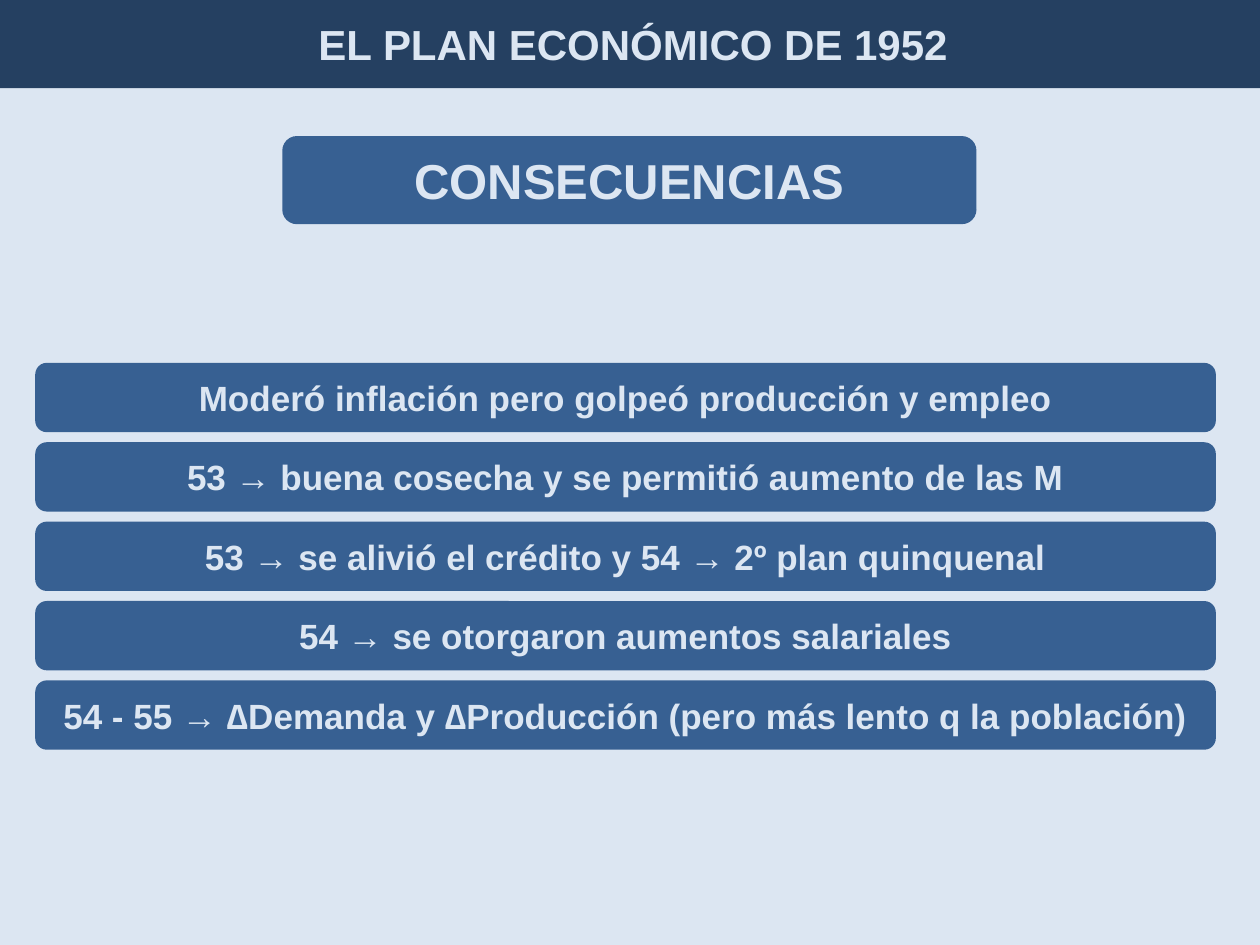
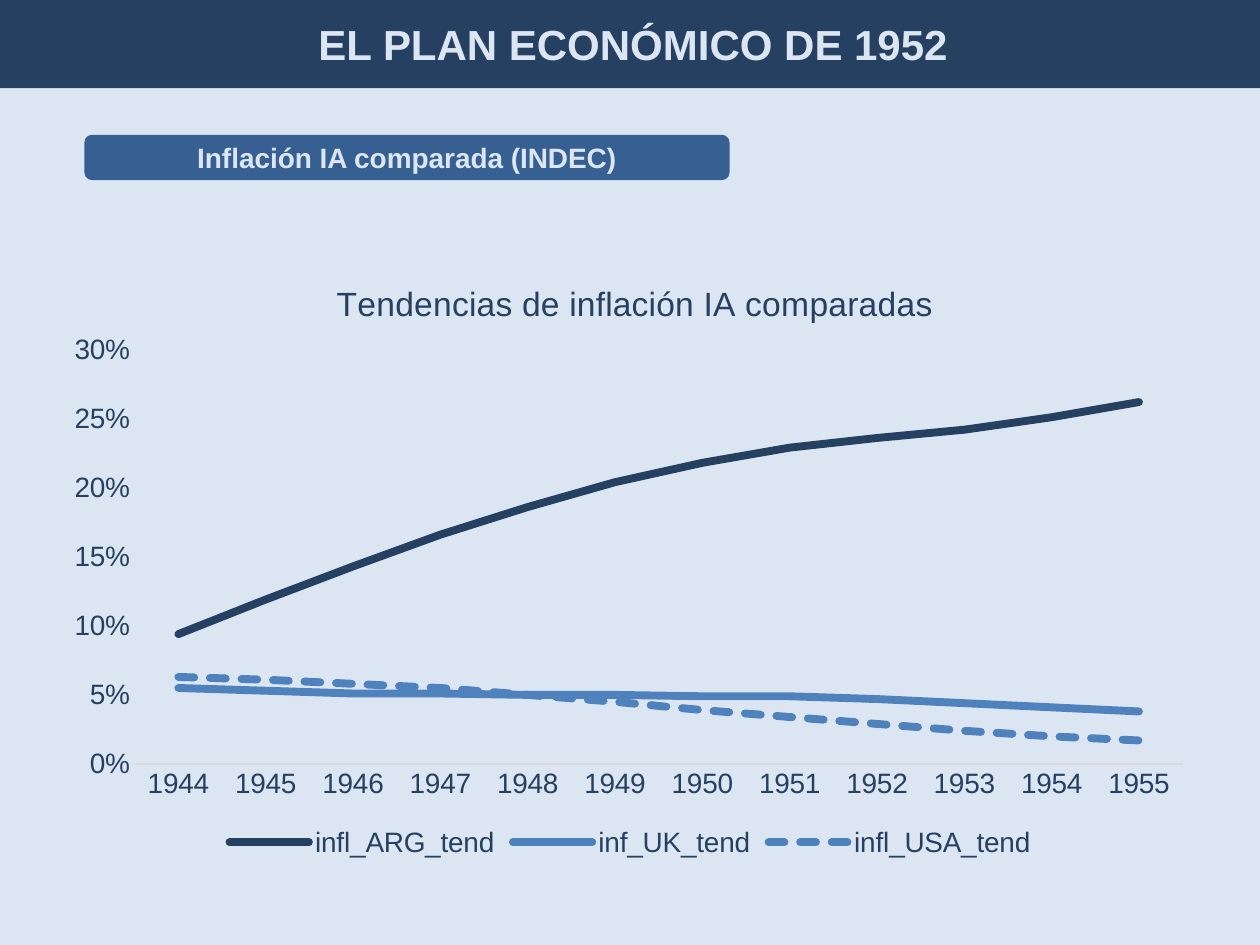
from pptx import Presentation
from pptx.chart.data import CategoryChartData
from pptx.dml.color import RGBColor
from pptx.enum.chart import XL_CHART_TYPE, XL_LEGEND_POSITION, XL_TICK_MARK
from pptx.enum.dml import MSO_LINE
from pptx.enum.shapes import MSO_SHAPE
from pptx.enum.text import MSO_ANCHOR, PP_ALIGN
from pptx.oxml import parse_xml
from pptx.oxml.ns import nsdecls
from pptx.util import Inches, Pt

# Content
HEADING = "EL PLAN ECONÓMICO DE 1952"
CONSEQUENCES_LABEL = "CONSECUENCIAS"
CONSEQUENCES = [
    "Moderó inflación pero golpeó producción y empleo",
    "53 → buena cosecha y se permitió aumento de las M",
    "53 → se alivió el crédito y 54 → 2º plan quinquenal",
    "54 → se otorgaron aumentos salariales",
    "54 - 55 → ∆Demanda y ∆Producción (pero más lento q la población)",
]
INFLATION_LABEL = "Inflación IA comparada (INDEC)"
TRENDS_TITLE = "Tendencias de inflación IA comparadas"
YEARS = [str(year) for year in range(1944, 1956)]

# Shared style
FONT = "Arial"
PALE, BLUE, NAVY = "DCE6F2", "376092", "254061"
LIGHT_BLUE, GREY = "4F81BD", "D9D9D9"

# Name, colour, dash, values
TRENDS = [
    ("infl_ARG_tend", NAVY, None,
     [.094, .119, .143, .166, .186, .204, .218, .229, .236, .242, .251, .262]),
    ("inf_UK_tend", LIGHT_BLUE, None,
     [.055, .053, .051, .051, .05, .05, .049, .049, .047, .044, .041, .038]),
    ("infl_USA_tend", LIGHT_BLUE, MSO_LINE.SQUARE_DOT,
     [.063, .061, .058, .055, .05, .045, .039, .034, .029, .024, .02, .017]),
]


def rgb(value):
    return RGBColor.from_string(value)


def style_font(font, size, color, bold=False):
    font.name, font.size, font.bold = FONT, Pt(size), bold
    font.color.rgb = rgb(color)


def write(frame, text, size=20, color=PALE, bold=True):
    paragraph = frame.paragraphs[0]
    paragraph.alignment = PP_ALIGN.CENTER
    run = paragraph.add_run()
    run.text = text
    style_font(run.font, size, color, bold)


def add_band(slide, text, left, top, width, height, fill=BLUE, size=20, corner=None):
    band = slide.shapes.add_shape(MSO_SHAPE.ROUNDED_RECTANGLE, Inches(left),
                                  Inches(top), Inches(width), Inches(height))
    if corner is not None:
        band.adjustments[0] = corner
    band.shadow.inherit = False
    band.fill.solid()
    band.fill.fore_color.rgb = rgb(fill)
    band.line.fill.background()
    band.text_frame.word_wrap = True
    band.text_frame.vertical_anchor = MSO_ANCHOR.MIDDLE
    write(band.text_frame, text, size=size)


def add_headed_slide(deck):
    slide = deck.slides.add_slide(deck.slide_layouts[6])
    slide.background.fill.solid()
    slide.background.fill.fore_color.rgb = rgb(PALE)
    add_band(slide, HEADING, 0, 0, 10.05, 0.7, fill=NAVY, size=24, corner=0)
    return slide


def layout_xml(target="", **fractions):
    """Manual chart layout, in fractions of the chart area."""
    inner = f'<c:layoutTarget val="{target}"/>' if target else ""
    modes = '<c:xMode val="edge"/><c:yMode val="edge"/>'
    sizes = "".join(f'<c:{key} val="{value}"/>' for key, value in fractions.items())
    return parse_xml(f'<c:layout {nsdecls("c")}><c:manualLayout>{inner}{modes}{sizes}'
                     '</c:manualLayout></c:layout>')


def add_trends_chart(slide):
    data = CategoryChartData(number_format="0%")
    data.categories = YEARS
    for name, _, _, values in TRENDS:
        data.add_series(name, values)
    chart = slide.shapes.add_chart(XL_CHART_TYPE.LINE, Inches(0.43), Inches(1.94),
                                   Inches(9.14), Inches(4.91), data).chart
    style_font(chart.font, 16, NAVY)

    # Title and plot placement
    write(chart.chart_title.text_frame, TRENDS_TITLE, size=19.2, color=NAVY, bold=False)
    chart.chart_title.include_in_layout = False
    title = chart.chart_title._element
    for layout in title.xpath("c:layout"):
        title.remove(layout)
    title.xpath("c:tx")[0].addnext(layout_xml(x=0.24, y=0.05))
    plot_area = chart._chartSpace.xpath("c:chart/c:plotArea")[0]
    for layout in plot_area.xpath("c:layout"):
        plot_area.remove(layout)
    plot_area.insert(0, layout_xml("inner", x=0.07, y=0.17, w=0.91, h=0.67))

    # Axes and legend
    years, rates = chart.category_axis, chart.value_axis
    for axis in (years, rates):
        axis.major_tick_mark = axis.minor_tick_mark = XL_TICK_MARK.NONE
        axis.has_major_gridlines = False
        style_font(axis.tick_labels.font, 16, NAVY)
    years.format.line.color.rgb = rgb(GREY)
    years.format.line.width = Pt(0.75)
    rates.format.line.fill.background()
    rates.minimum_scale, rates.maximum_scale, rates.major_unit = 0, 0.3, 0.05
    rates.tick_labels.number_format = "0%"
    rates.tick_labels.number_format_is_linked = False
    chart.has_legend = True
    chart.legend.position = XL_LEGEND_POSITION.BOTTOM
    chart.legend.include_in_layout = False
    style_font(chart.legend.font, 16, NAVY)

    # Trend lines
    plot = chart.plots[0]
    plot.vary_by_categories = False
    for series, (_, color, dash, _) in zip(plot.series, TRENDS):
        series.smooth = False
        line = series.format.line
        line.color.rgb = rgb(color)
        line.width = Pt(4.5)
        if dash:
            line.dash_style = dash
        line._get_or_add_ln().set("cap", "rnd")


def main():
    deck = Presentation()
    deck.slide_width, deck.slide_height = Inches(10), Inches(7.5)

    # Consequences
    consequences = add_headed_slide(deck)
    add_band(consequences, CONSEQUENCES_LABEL, 2.24, 1.08, 5.51, 0.7, size=28)
    for row, consequence in enumerate(CONSEQUENCES):
        add_band(consequences, consequence, 0.28, 2.88 + 0.63 * row, 9.37, 0.55)

    # Compared inflation
    inflation = add_headed_slide(deck)
    add_band(inflation, INFLATION_LABEL, 0.67, 1.07, 5.12, 0.36, size=16)
    add_trends_chart(inflation)

    deck.save("out.pptx")


if __name__ == "__main__":
    main()
